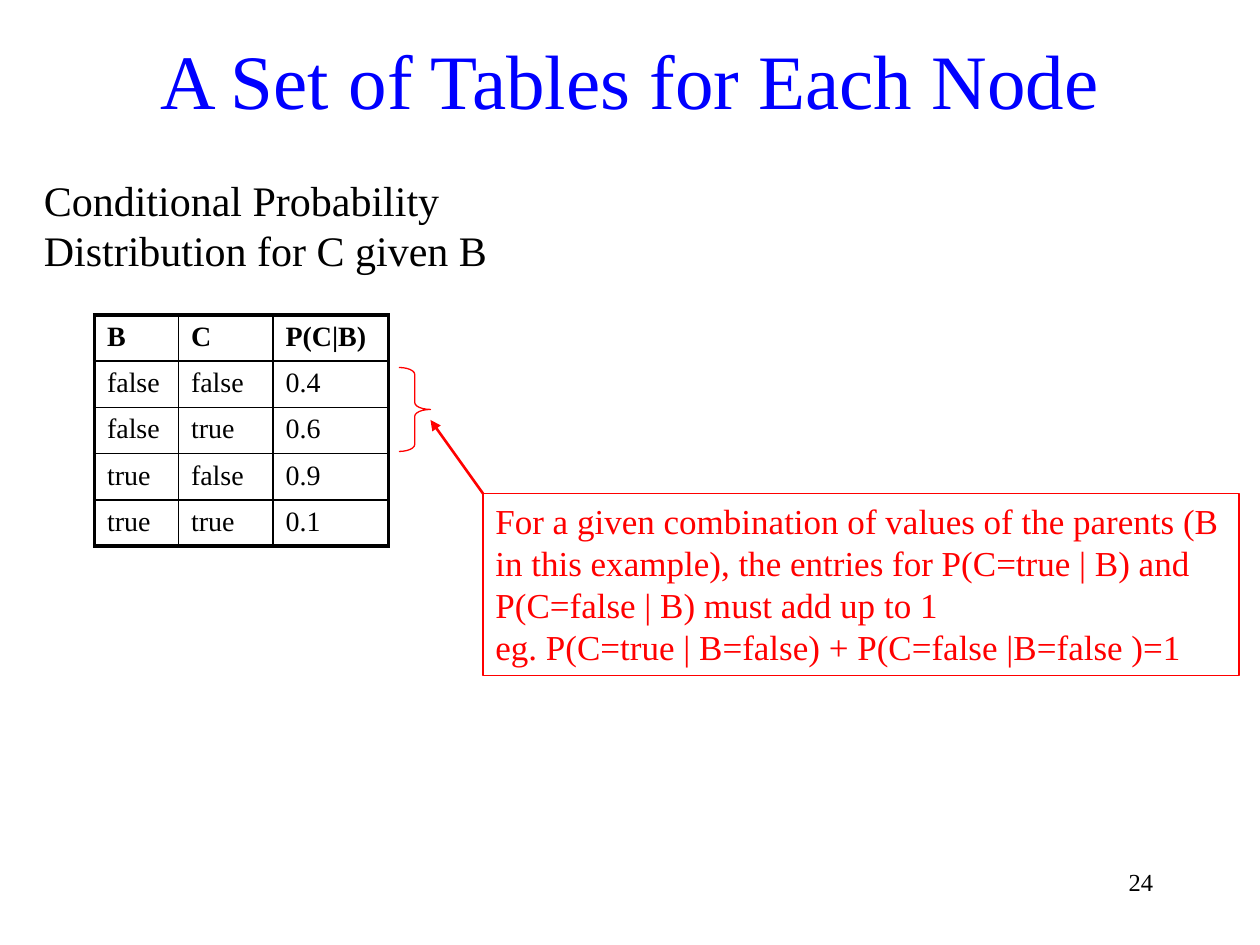
"""Builds the slide on conditional probability tables for each node."""
import pptx
import pptx.dml.color
import pptx.enum.shapes
import pptx.enum.text
import pptx.oxml.ns
import pptx.util
from lxml import etree

Pt = pptx.util.Pt
ALIGN = pptx.enum.text.PP_ALIGN
ANCHOR = pptx.enum.text.MSO_ANCHOR
SHAPE = pptx.enum.shapes.MSO_SHAPE

FONT = "Times New Roman"
BLACK, BLUE, RED = "000000", "0000FF", "FF0000"
THIN, THICK = 1, 2.25

TITLE = "A Set of Tables for Each Node"
SUBTITLE = "Conditional Probability Distribution for C given B"
PAGE_NUMBER = "24"
NOTE = [
    "For a given combination of values of the parents (B in this example), "
    "the entries for P(C=true | B) and P(C=false | B) must add up to 1",
    "eg. P(C=true | B=false) + P(C=false |B=false )=1",
]
PROBABILITIES = [
    ("B", "C", "P(C|B)"),
    ("false", "false", "0.4"),
    ("false", "true", "0.6"),
    ("true", "false", "0.9"),
    ("true", "true", "0.1"),
]
COLUMN_WIDTHS = (48, 54, 66)
ROW_HEIGHT = 26.4
TABLE_LEFT, TABLE_TOP = 54, 180
NOTE_LEFT, NOTE_TOP = 276, 282


def rgb(color):
    return pptx.dml.color.RGBColor.from_string(color)


def write(frame, lines, size, color, align=ALIGN.LEFT, anchor=ANCHOR.TOP, bold=False):
    frame.word_wrap = True
    frame.vertical_anchor = anchor
    for index, line in enumerate(lines):
        paragraph = frame.add_paragraph() if index else frame.paragraphs[0]
        paragraph.text = line
        paragraph.alignment = align
        paragraph.font.name = FONT
        paragraph.font.size = Pt(size)
        paragraph.font.bold = bold
        paragraph.font.color.rgb = rgb(color)


def add_text(slide, box, *style, **placing):
    textbox = slide.shapes.add_textbox(*map(Pt, box))
    write(textbox.text_frame, *style, **placing)


def add_outline(slide, preset, box):
    outline = slide.shapes.add_shape(preset, *map(Pt, box))
    outline.shadow.inherit = False
    outline.fill.background()
    outline.line.color.rgb = rgb(RED)
    outline.line.width = Pt(0.75)
    return outline


def add_element(parent, tag, **attributes):
    return etree.SubElement(parent, pptx.oxml.ns.qn(tag), attributes)


def set_borders(cell, widths):
    properties = cell._tc.get_or_add_tcPr()
    for position, (side, width) in enumerate(widths.items()):
        border = add_element(properties, f"a:ln{side}", w=str(Pt(width)))
        fill = add_element(border, "a:solidFill")
        add_element(fill, "a:srgbClr", val=BLACK)
        properties.insert(position, border)


def add_probability_table(slide):
    rows, columns = len(PROBABILITIES), len(COLUMN_WIDTHS)
    table = slide.shapes.add_table(
        rows, columns, Pt(TABLE_LEFT), Pt(TABLE_TOP),
        Pt(sum(COLUMN_WIDTHS)), Pt(rows * ROW_HEIGHT)).table
    table.horz_banding = False
    for column, width in zip(table.columns, COLUMN_WIDTHS):
        column.width = Pt(width)
    for r, values in enumerate(PROBABILITIES):
        table.rows[r].height = Pt(ROW_HEIGHT)
        for c, value in enumerate(values):
            cell = table.cell(r, c)
            cell.fill.background()
            write(cell.text_frame, [value], 16, BLACK, bold=r == 0)
            set_borders(cell, {
                "L": THICK if c == 0 else THIN,
                "R": THICK if c == columns - 1 else THIN,
                "T": THICK if r == 0 else THIN,
                "B": THICK if r == rows - 1 else THIN,
            })


def add_arrow(slide, start, end):
    arrow = slide.shapes.add_connector(
        pptx.enum.shapes.MSO_CONNECTOR.STRAIGHT, *map(Pt, start + end))
    arrow.line.color.rgb = rgb(RED)
    arrow.line.width = Pt(1.5)
    add_element(arrow.line._get_or_add_ln(), "a:tailEnd", type="triangle")
    add_element(arrow._element.spPr, "a:effectLst")


def main():
    deck = pptx.Presentation()
    deck.slide_width, deck.slide_height = Pt(720), Pt(540)
    slide = deck.slides.add_slide(deck.slide_layouts[6])

    add_text(slide, (588, 492, 78, 36), [PAGE_NUMBER], 14, BLACK, align=ALIGN.RIGHT)
    add_text(slide, (54, 12, 612, 66), [TITLE], 44, BLUE,
             align=ALIGN.CENTER, anchor=ANCHOR.MIDDLE)
    add_text(slide, (18, 96, 294, 64.8), [SUBTITLE], 24, BLACK)

    brace = add_outline(slide, SHAPE.RIGHT_BRACE, (228, 210, 18, 48))
    brace.adjustments[0] = 0.22
    brace.adjustments[1] = 0.5

    add_probability_table(slide)
    note = add_outline(slide, SHAPE.RECTANGLE, (NOTE_LEFT, NOTE_TOP, 432, 104))
    write(note.text_frame, NOTE, 20, RED)
    add_arrow(slide, (NOTE_LEFT, NOTE_TOP), (246, 240))

    deck.save("out.pptx")


if __name__ == "__main__":
    main()
